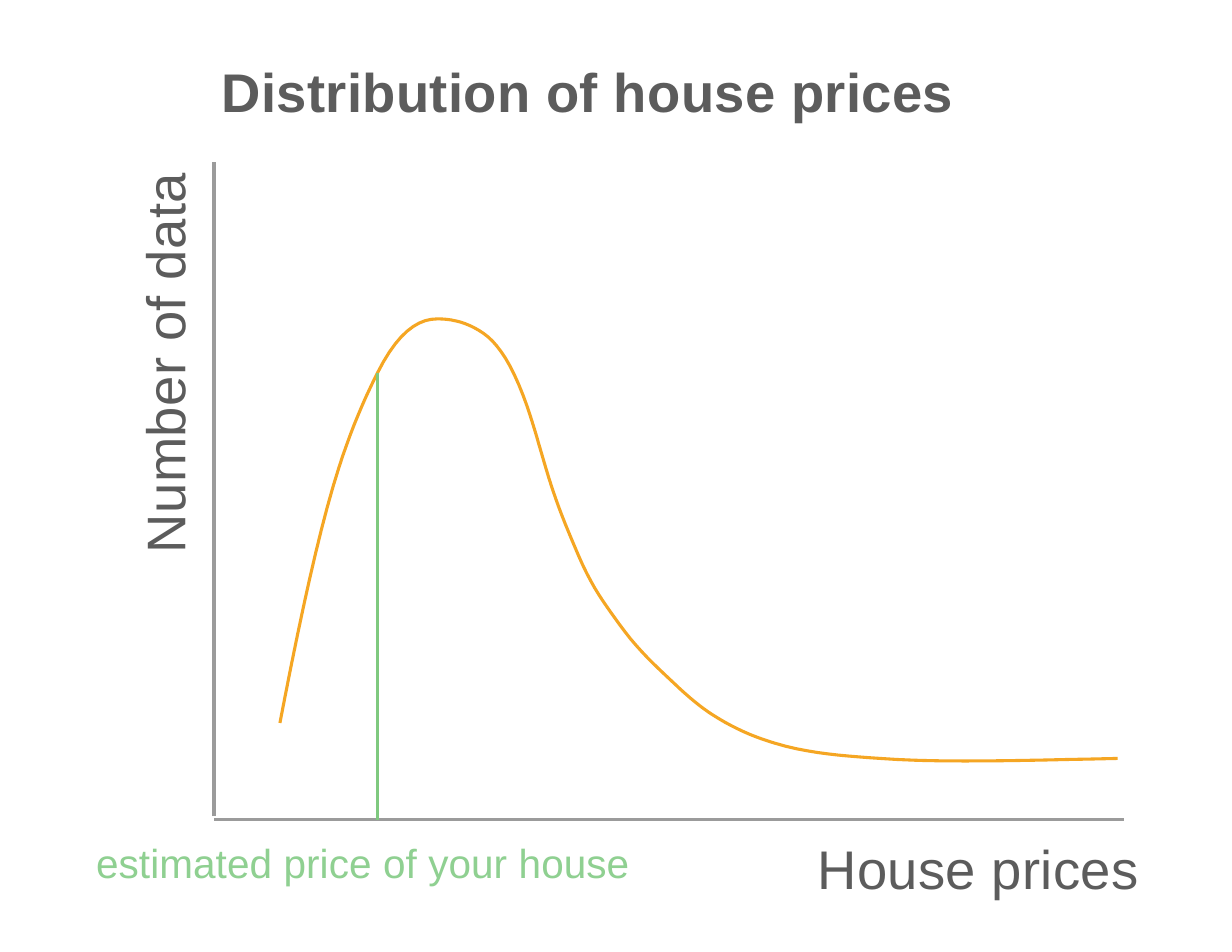
import itertools

import pptx
import pptx.dml.color
import pptx.oxml.ns
import pptx.enum.shapes
import pptx.util
from lxml import etree

Pt = pptx.util.Pt
RGBColor = pptx.dml.color.RGBColor

TEXT_GREY = RGBColor(0x5C, 0x5C, 0x5C)
AXIS_GREY = RGBColor(0x9B, 0x9B, 0x9B)
CURVE_ORANGE = RGBColor(0xF5, 0xA6, 0x23)
ESTIMATE_GREEN = RGBColor(0x7F, 0xC9, 0x7F)
CAPTION_GREEN = RGBColor(0x8F, 0xD0, 0x91)

# Axes, in points
ORIGIN_X, BASELINE = 68.8, 263.5
AXIS_RIGHT, AXIS_TOP = 361.4, 52
AXIS_GAP = 1.2
ESTIMATE_X = 121.4

# Knots of the distribution: x, y, slope
PRICE_KNOTS = [
    (90, 232.4, -5.2),      # cheapest house
    (109, 150.2, -3.1),
    (121.3, 120, -2),
    (140.6, 102.5, 0),      # most common price
    (155.5, 107.2, 0.7),
    (169.6, 131, 2.9),
    (175.5, 150.5, 3.4),    # steepest fall
    (186, 178.6, 2.35),
    (199, 200.5, 1.4),
    (217.4, 220.3, 0.95),
    (229, 229.7, 0.65),
    (249.1, 238.9, 0.3),
    (283, 243.8, 0.07),
    (310, 244.6, 0),        # long flat tail
    (359.3, 243.8, -0.02),
]
STEPS_PER_SPAN = 10


def hermite(left, right, t):
    """Point at fraction t of the smooth cubic between two knots."""
    (x0, y0, slope0), (x1, y1, slope1) = left, right
    width = x1 - x0
    blend = t * t * (3 - 2 * t)
    y = (y0 + (y1 - y0) * blend
         + width * slope0 * t * (1 - t) ** 2
         - width * slope1 * t * t * (1 - t))
    return x0 + width * t, y


def price_curve():
    points = [PRICE_KNOTS[0][:2]]
    for left, right in itertools.pairwise(PRICE_KNOTS):
        for step in range(1, STEPS_PER_SPAN + 1):
            points.append(hermite(left, right, step / STEPS_PER_SPAN))
    return points


def curve_height(x):
    for left, right in itertools.pairwise(PRICE_KNOTS):
        if left[0] <= x <= right[0]:
            return hermite(left, right, (x - left[0]) / (right[0] - left[0]))[1]
    raise ValueError("x lies outside the curve")


class PriceSlide:
    font_name = "Arial"
    line_width = 1
    text_indent = 0.7
    top_inset = 1.44

    def __init__(self, slide):
        self.shapes = slide.shapes

    def line(self, x1, y1, x2, y2, color):
        rule = self.shapes.add_connector(
            pptx.enum.shapes.MSO_CONNECTOR.STRAIGHT, Pt(x1), Pt(y1), Pt(x2), Pt(y2))
        rule.line.color.rgb = color
        rule.line.width = Pt(self.line_width)
        etree.SubElement(rule._element.spPr, pptx.oxml.ns.qn("a:effectLst"))

    def curve(self, points, color):
        start, *rest = [(Pt(x), Pt(y)) for x, y in points]
        builder = self.shapes.build_freeform(*start)
        builder.add_line_segments(rest, close=False)
        outline = builder.convert_to_shape()
        outline.shadow.inherit = False
        outline.fill.background()
        outline.line.color.rgb = color
        outline.line.width = Pt(self.line_width)

    def label(self, text, box, size=17.5, color=TEXT_GREY, bold=False,
              spacing=0.12, upward=False):
        frame = self.shapes.add_textbox(*map(Pt, box)).text_frame
        frame.word_wrap = True
        frame.margin_left = frame.margin_right = 0
        frame.margin_top = frame.margin_bottom = 0
        paragraph = frame.paragraphs[0]
        if upward:
            frame._txBody.bodyPr.set("vert", "vert270")
            paragraph.line_spacing = Pt(20.6)
        else:
            frame.margin_left = Pt(self.text_indent)
            frame.margin_top = Pt(self.top_inset)
        run = paragraph.add_run()
        run.text = text
        run.font.name = self.font_name
        run.font.size = Pt(size)
        run.font.bold = bold
        run.font.color.rgb = color
        run._r.get_or_add_rPr().set("spc", str(round(spacing * 100)))


def main():
    deck = pptx.Presentation()
    deck.slide_width, deck.slide_height = Pt(396), Pt(306)
    page = PriceSlide(deck.slides.add_slide(deck.slide_layouts[6]))

    # Axes
    page.line(ORIGIN_X, BASELINE, AXIS_RIGHT, BASELINE, AXIS_GREY)
    page.line(ORIGIN_X, BASELINE - AXIS_GAP, ORIGIN_X, AXIS_TOP, AXIS_GREY)

    # Distribution, with the estimate dropped from it to the axis
    page.curve(price_curve(), CURVE_ORANGE)
    page.line(ESTIMATE_X, curve_height(ESTIMATE_X), ESTIMATE_X, BASELINE, ESTIMATE_GREEN)

    # Title and labels
    page.label("House prices", (262.1, 267.1, 105.8, 23.8))
    page.label("Distribution of house prices", (70.6, 17.3, 238.3, 23.8), bold=True)
    page.label("Number of data", (42.5, 54, 21.6, 123.8), upward=True)
    page.label("estimated price of your house", (30.2, 267.8, 174.2, 18),
               size=13, color=CAPTION_GREEN, spacing=0.05)

    deck.save("out.pptx")


if __name__ == "__main__":
    main()
